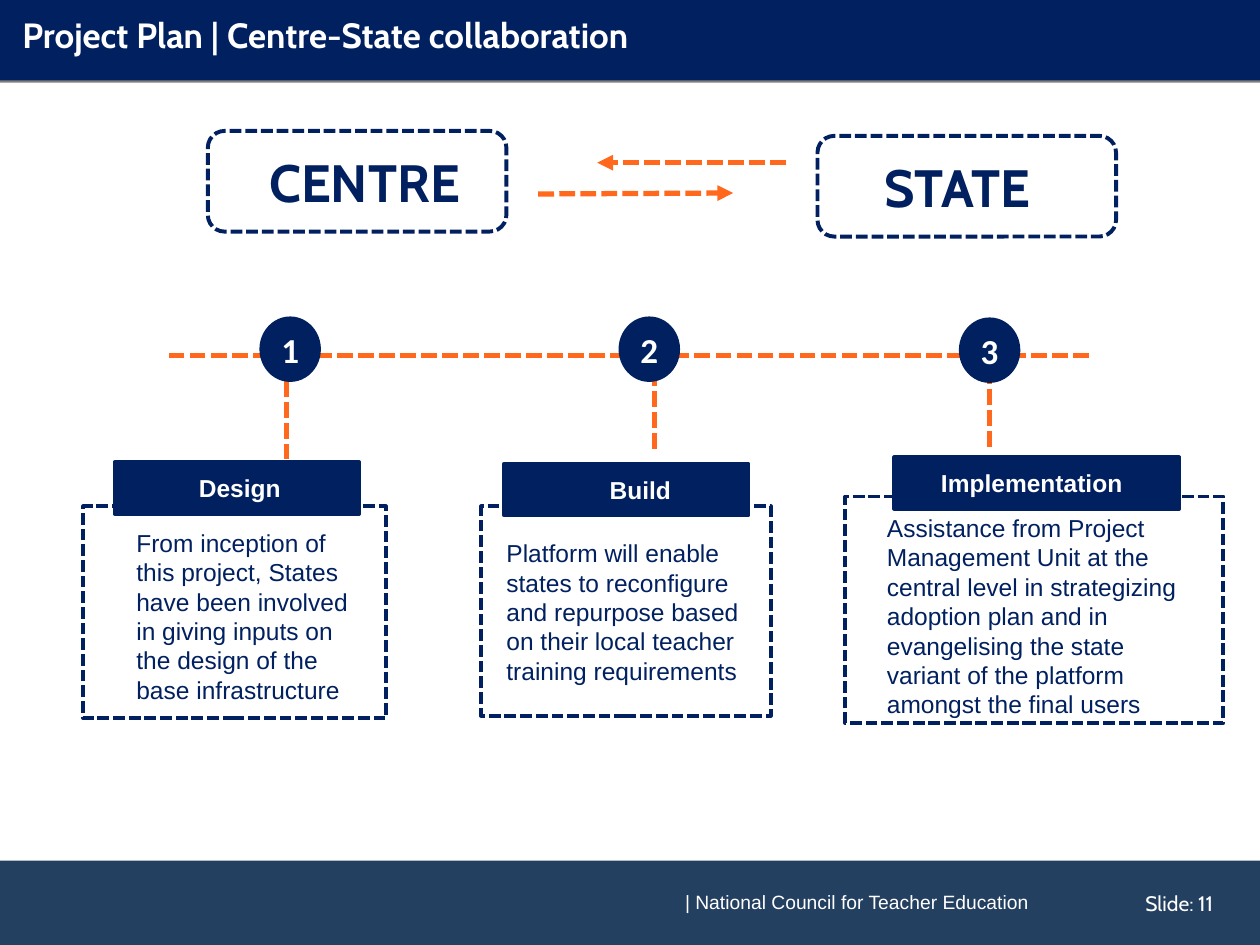
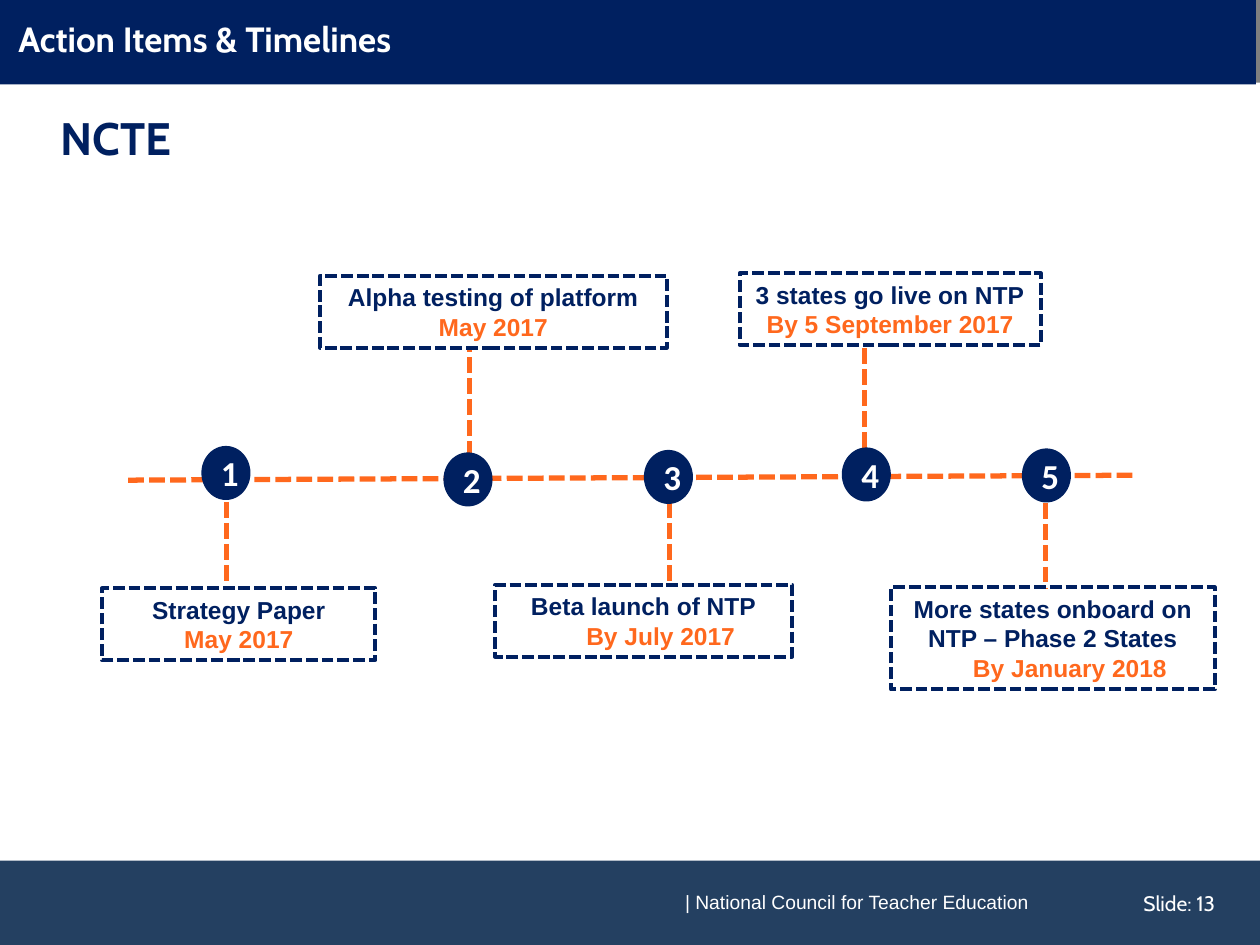
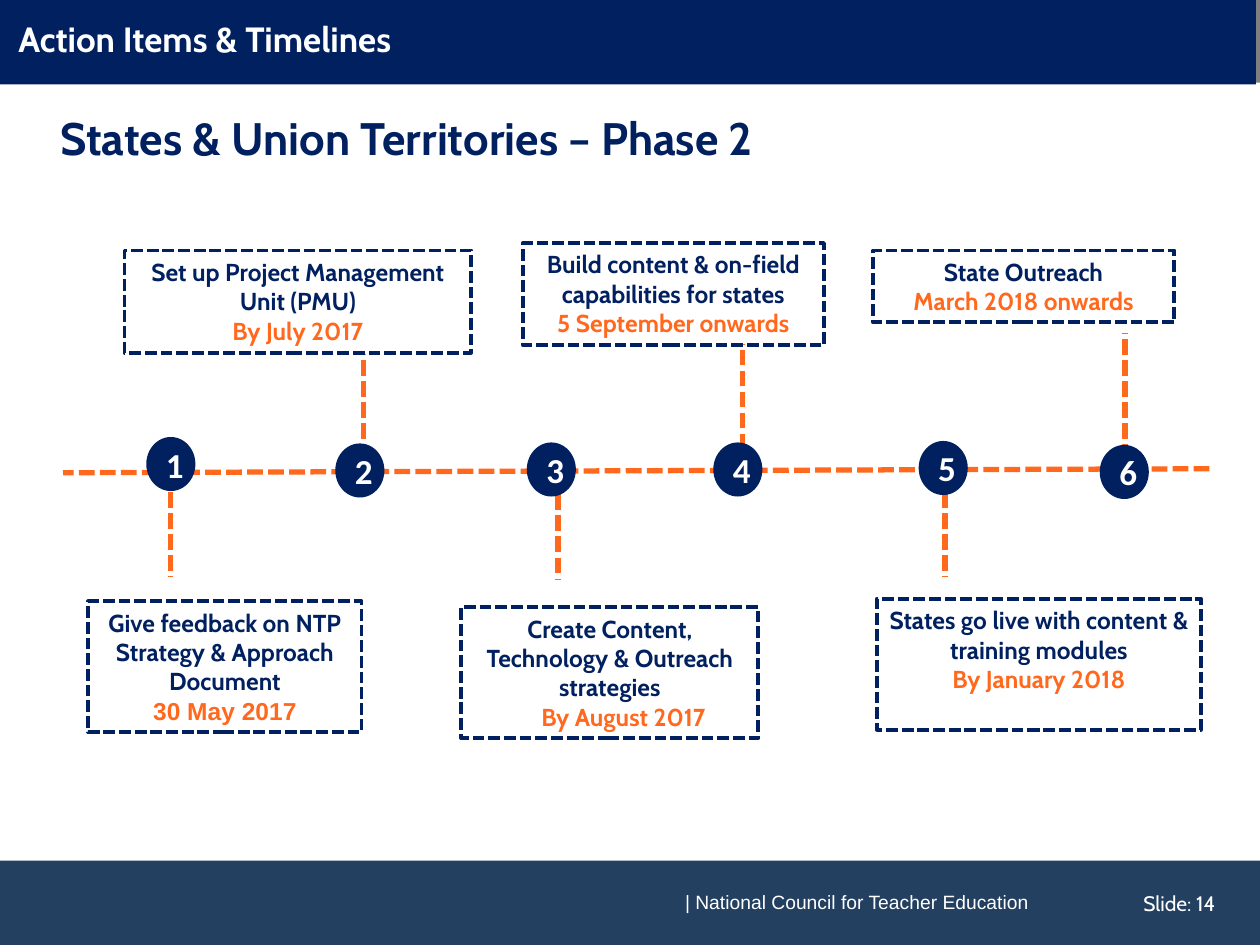
import dataclasses

import lxml.etree
import pptx
import pptx.dml.color
import pptx.enum.dml
import pptx.enum.shapes
import pptx.enum.text
import pptx.oxml.ns
import pptx.util

Cm = pptx.util.Cm
Pt = pptx.util.Pt
Align = pptx.enum.text.PP_ALIGN
Anchor = pptx.enum.text.MSO_ANCHOR
Shape = pptx.enum.shapes.MSO_SHAPE


@dataclasses.dataclass(frozen=True)
class Theme:
    navy: str = "002060"
    slate: str = "244061"
    grey: str = "7F7F7F"
    orange: str = "FF681D"
    white: str = "FFFFFF"
    head: str = "Cabin"
    plain: str = "Arial"
    digit: str = "Calibri"
    title: int = 20
    hero: int = 30
    sub: int = 26
    mark: int = 20
    text: int = 14
    page: int = 12
    foot: int = 11
    edge: float = 2.25
    dash: float = 3


@dataclasses.dataclass
class Run:
    text: str
    size: int
    color: str
    font: str
    bold: bool = True


def rgb(code):
    return pptx.dml.color.RGBColor.from_string(code)


class Deck:
    def __init__(self, theme):
        self.theme = theme
        self.show = pptx.Presentation()
        self.show.slide_width = Cm(25.4)
        self.show.slide_height = Cm(19.05)
        self.layout = self.show.slide_layouts[5]
        self.slide = None

    def start(self, title, page, left, top):
        t = self.theme
        first = self.slide is None
        self.slide = self.show.slides.add_slide(self.layout)
        if first:
            self.bands()
        bar = self.slide.shapes.title
        bar.left, bar.top, bar.width, bar.height = Cm(left), Cm(top), Cm(25.4), Cm(1.75)
        bar.fill.solid()
        bar.fill.fore_color.rgb = rgb(t.navy)
        self.put(bar, [[Run(title, t.title, t.white, t.head)]], Align.LEFT, Anchor.MIDDLE)
        para = bar.text_frame.paragraphs[0]
        para.line_spacing = 0.9
        self.indent(para, 0.23, -0.03)
        self.label((22.53, 17.7, 2.49, 1.02), Run(f"Slide: {page}", t.page, t.white, t.head, False),
                   Align.CENTER, Anchor.MIDDLE)
        self.label((13.56, 17.7, 8.38, 0.94),
                   Run("| National Council for Teacher Education", t.foot, t.white, t.plain, False),
                   pad=(0.25, 0.25, 0.25, 0.25))

    def bands(self):
        for top, color in ((17.35, self.theme.slate), (-0.08, self.theme.grey)):
            band = self.shape(Shape.RECTANGLE, (0, top, 25.4, 1.75), color)
            self.layout.shapes.element.insert(2, band.element)

    def indent(self, para, left, first=0):
        props = para._p.get_or_add_pPr()
        props.set("marL", str(Cm(left)))
        props.set("indent", str(Cm(first)))

    def put(self, shape, paras, align=Align.LEFT, anchor=Anchor.TOP, pad=(0.25, 0.13, 0.25, 0.13)):
        frame = shape.text_frame
        frame.word_wrap = True
        frame.auto_size = pptx.enum.text.MSO_AUTO_SIZE.NONE
        frame.vertical_anchor = anchor
        frame.margin_left, frame.margin_top, frame.margin_right, frame.margin_bottom = map(Cm, pad)
        for place, runs in enumerate(paras):
            para = frame.add_paragraph() if place else frame.paragraphs[0]
            para.alignment = align
            for item in runs:
                run = para.add_run()
                run.text = item.text
                run.font.size = Pt(item.size)
                run.font.name = item.font
                run.font.bold = item.bold
                run.font.color.rgb = rgb(item.color)

    def label(self, box, run, align=Align.LEFT, anchor=Anchor.TOP, pad=(0.25, 0.13, 0.25, 0.13)):
        shape = self.slide.shapes.add_textbox(*map(Cm, box))
        self.put(shape, [[run]], align, anchor, pad)

    def shape(self, kind, box, fill=None, edge=None, dashed=False):
        shape = self.slide.shapes.add_shape(kind, *map(Cm, box))
        shape.shadow.inherit = False
        if fill:
            shape.fill.solid()
            shape.fill.fore_color.rgb = rgb(fill)
        else:
            shape.fill.background()
        if edge:
            shape.line.color.rgb = rgb(edge)
            shape.line.width = Pt(self.theme.edge)
        else:
            shape.line.fill.background()
        if dashed:
            shape.line.dash_style = pptx.enum.dml.MSO_LINE.SQUARE_DOT
        return shape

    def frame(self, box, kind=Shape.RECTANGLE):
        return self.shape(kind, box, edge=self.theme.navy, dashed=True)

    def line(self, x1, y1, x2, y2, arrow=False):
        kind = pptx.enum.shapes.MSO_CONNECTOR.STRAIGHT
        line = self.slide.shapes.add_connector(kind, Cm(x1), Cm(y1), Cm(x2), Cm(y2))
        line.line.color.rgb = rgb(self.theme.orange)
        line.line.width = Pt(self.theme.dash)
        line.line.dash_style = pptx.enum.dml.MSO_LINE.SQUARE_DOT
        qn = pptx.oxml.ns.qn
        props = line.element.spPr
        if arrow:
            lxml.etree.SubElement(props.find(qn("a:ln")), qn("a:tailEnd"), type="triangle")
        lxml.etree.SubElement(props, qn("a:effectLst"))

    def track(self, axis, stems, spots, size):
        t = self.theme
        for x, y1, y2 in stems:
            self.line(x, y1, x, y2)
        self.line(*axis)
        for count, spot in enumerate(spots, 1):
            disc = self.shape(Shape.OVAL, (*spot, *size), t.navy)
            self.put(disc, [[Run(str(count), t.mark, t.white, t.digit)]], Align.CENTER, Anchor.MIDDLE)

    def card(self, box, task, date, font, face=None, shift=0):
        t = self.theme
        card = self.frame(box)
        self.put(card, [[Run(task, t.text, t.navy, font)],
                        [Run(date, t.text, t.orange, face or font)]], Align.CENTER)
        if shift:
            self.indent(card.text_frame.paragraphs[1], shift)

    def sub(self, text, width):
        t = self.theme
        self.label((0.97, 2.08, width, 1.27), Run(text, t.sub, t.navy, t.head))


def plan(deck):
    t = deck.theme
    deck.start("Project Plan | Centre-State collaboration", 11, 0, -0.13)
    for text, left, top, pad in (
        ("CENTRE", 4.19, 2.64, (0.55, 0.13, 0.25, 0.13)),
        ("STATE", 16.48, 2.74, (0.25, 0.13, 0.63, 0.13)),
    ):
        box = deck.frame((left, top, 6.02, 2.03), Shape.ROUNDED_RECTANGLE)
        deck.put(box, [[Run(text, t.hero, t.navy, t.head)]], Align.CENTER, Anchor.MIDDLE, pad)
    deck.line(15.85, 3.28, 12.04, 3.28, arrow=True)
    deck.line(10.85, 3.91, 14.78, 3.89, arrow=True)
    deck.track(
        (21.95, 7.16, 3.4, 7.16),
        [(5.77, 6.83, 9.25), (13.2, 7.04, 9.14), (19.94, 6.99, 9.09)],
        [(5.23, 6.38), (12.47, 6.38), (19.33, 6.4)],
        (1.24, 1.32),
    )
    stages = (
        ("Design", (2.31, 9.32, 4.93, 1.04), 1.7, (1.68, 10.21, 6.1, 4.27), (1.07, 0.43, 0.71, 0),
         "From inception of this project, States have been involved in giving inputs "
         "on the design of the base infrastructure"),
        ("Build", (10.16, 9.35, 4.93, 1.04), 2.13, (9.7, 10.21, 5.84, 4.22), (0.51, 0.64, 0.53, 0),
         "Platform will enable states to reconfigure and repurpose based on their "
         "local teacher training requirements"),
        ("Implementation", (18.03, 9.22, 5.74, 1.04), 0.94, (17.04, 10.01, 7.62, 4.57), (0.84, 0.33, 0.41, 0),
         "Assistance from Project Management Unit at the central level in strategizing "
         "adoption plan and in evangelising the state variant of the platform amongst the final users"),
    )
    for name, bar, inset, box, pad, text in stages:
        body = deck.frame(box)
        deck.put(body, [[Run(text, t.text, t.navy, t.plain, False)]], pad=pad)
        head = deck.shape(Shape.RECTANGLE, bar, t.navy, t.navy)
        deck.put(head, [[Run(name, t.text, t.white, t.plain)]], Align.LEFT, Anchor.MIDDLE,
                 (inset, 0.13, 0.25, 0.13))


def council(deck):
    t = deck.theme
    deck.start("Action Items & Timelines", 13, -0.08, -0.05)
    deck.sub("NCTE", 3.84)
    deck.track(
        (22.83, 9.58, 2.49, 9.68),
        [(4.56, 9.27, 11.84), (9.46, 9.63, 7.06), (13.5, 9.27, 11.84),
         (17.42, 9.88, 6.93), (21.07, 9.3, 11.86)],
        [(4.06, 8.99), (8.94, 9.12), (12.98, 9.07), (16.97, 9.02), (20.6, 9.04)],
        (0.99, 1.09),
    )
    for box, task, date, shift in (
        ((2.06, 11.86, 5.51, 1.45), "Strategy Paper", "May 2017", 0),
        ((6.45, 5.56, 6.99, 1.45), "Alpha testing of platform", "May 2017", 0),
        ((9.98, 11.79, 5.99, 1.45), "Beta launch of NTP", "By July 2017", 0.69),
        ((14.91, 5.51, 6.07, 1.45), "3 states go live on NTP", "By 5 September 2017", 0),
        ((17.96, 11.84, 6.53, 2.06), "More states onboard on NTP – Phase 2 States", "By January 2018", 0.69),
    ):
        deck.card(box, task, date, t.plain, shift=shift)


def states(deck):
    t = deck.theme
    deck.start("Action Items & Timelines", 14, -0.08, -0.05)
    deck.sub("States & Union Territories – Phase 2", 18.54)
    deck.track(
        (24.38, 9.45, 1.27, 9.53),
        [(3.44, 9.07, 11.63), (7.33, 9.7, 7.14), (11.25, 9.12, 11.68),
         (14.97, 9.91, 6.93), (19.05, 9.07, 11.63), (22.68, 9.27, 6.71)],
        [(2.95, 8.81), (6.76, 8.94), (10.62, 8.92), (14.38, 8.92), (18.52, 8.89), (22.17, 8.97)],
        (0.99, 1.09),
    )
    for box, task, date, face, shift in (
        ((1.78, 12.12, 5.51, 2.64), "Give feedback on NTP Strategy & Approach Document", "30 May 2017", t.plain, 0),
        ((2.51, 5.05, 6.99, 2.06), "Set up Project Management Unit (PMU)", "By July 2017", t.head, 0),
        ((9.3, 12.24, 5.99, 2.64), "Create Content, Technology & Outreach strategies", "By August 2017", t.head, 0.55),
        ((10.54, 4.9, 6.07, 2.06), "Build content & on-field capabilities for states",
         "5 September onwards", t.head, 0),
        ((17.68, 12.07, 6.53, 2.64), "States go live with content & training modules", "By January 2018", t.head, 0),
        ((17.6, 5.05, 6.07, 1.45), "State Outreach", "March 2018 onwards", t.head, 0),
    ):
        deck.card(box, task, date, t.head, face, shift)


def main():
    deck = Deck(Theme())
    plan(deck)
    council(deck)
    states(deck)
    deck.show.save("out.pptx")


if __name__ == "__main__":
    main()
